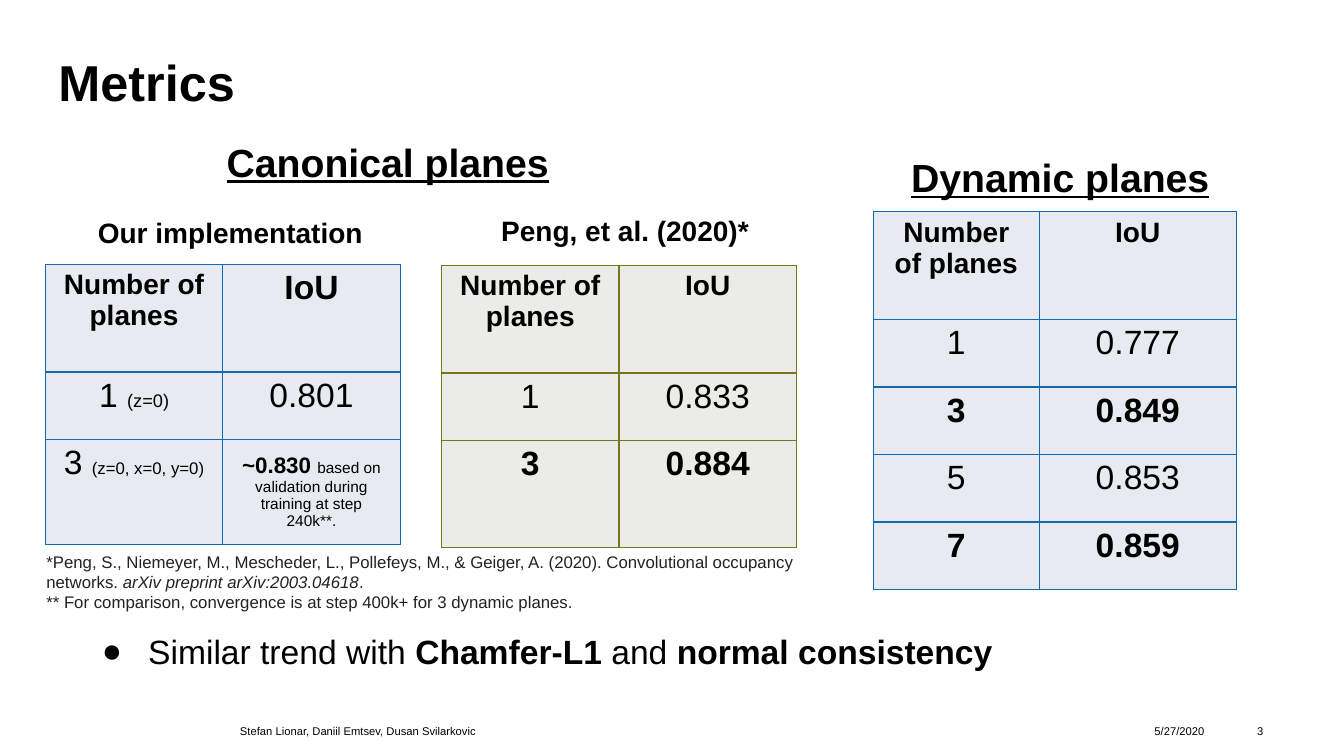
from dataclasses import dataclass

from lxml.etree import SubElement
from pptx import Presentation
from pptx.dml.color import RGBColor
from pptx.enum.text import MSO_ANCHOR, MSO_AUTO_SIZE, PP_ALIGN
from pptx.oxml import parse_xml
from pptx.oxml.ns import nsdecls, qn
from pptx.util import Inches, Pt

BLACK = RGBColor(0x00, 0x00, 0x00)
CITATION_GRAY = RGBColor(0x22, 0x22, 0x22)
BLUE = RGBColor(0x12, 0x69, 0xB0)
PALE_BLUE = RGBColor(0xE7, 0xEA, 0xF1)
OLIVE = RGBColor(0x72, 0x79, 0x1C)
PALE_OLIVE = RGBColor(0xEB, 0xEB, 0xE7)

FONT = "Arial"
BORDER_WIDTH = Pt(0.96)


@dataclass(frozen=True)
class Span:
    text: str
    size: float
    bold: bool = False
    italic: bool = False
    underline: bool = False
    color: RGBColor = BLACK


Line = tuple[Span, ...]


@dataclass(frozen=True)
class TextBox:
    left: float
    top: float
    width: float
    height: float
    lines: tuple[Line, ...]
    align: PP_ALIGN = PP_ALIGN.CENTER
    anchor: MSO_ANCHOR = MSO_ANCHOR.TOP
    inset: float = 0.13
    bullet: str = ""


@dataclass(frozen=True)
class MetricTable:
    left: float
    top: float
    columns: tuple[float, ...]
    row_heights: tuple[float, ...]
    rows: tuple[tuple[Line, ...], ...]
    border: RGBColor = BLUE
    fill: RGBColor = PALE_BLUE


def heading(text: str, size: float, underline: bool = False) -> tuple[Line, ...]:
    return ((Span(text, size, bold=True, underline=underline),),)


def header_row(iou_size: float = 20) -> tuple[Line, ...]:
    return (Span("Number of planes", 20, bold=True),), (Span("IoU", iou_size, bold=True),)


def value_row(planes: str, iou: str, bold: bool = False) -> tuple[Line, ...]:
    return (Span(planes, 24, bold),), (Span(iou, 24, bold),)


def write_line(para, line: Line, align: PP_ALIGN) -> None:
    para.alignment = align
    for span in line:
        run = para.add_run()
        run.text = span.text
        values = {"name": FONT, "size": Pt(span.size), "bold": span.bold,
                  "italic": span.italic, "underline": span.underline}
        for name, value in values.items():
            setattr(run.font, name, value)
        run.font.color.rgb = span.color


def add_bullet(para, character: str) -> None:
    properties = para._p.get_or_add_pPr()
    properties.set("marL", str(Inches(0.67)))
    properties.set("indent", str(Inches(-0.46)))
    color = SubElement(properties, qn("a:buClr"))
    SubElement(color, qn("a:srgbClr")).set("val", str(BLACK))
    SubElement(properties, qn("a:buFont")).set("typeface", FONT)
    SubElement(properties, qn("a:buChar")).set("char", character)


def fill_box(shape, box: TextBox) -> None:
    for name in ("left", "top", "width", "height"):
        setattr(shape, name, Inches(getattr(box, name)))
    frame = shape.text_frame
    values = {"word_wrap": True, "auto_size": MSO_AUTO_SIZE.NONE,
              "vertical_anchor": box.anchor}
    for side in ("left", "top", "right", "bottom"):
        values[f"margin_{side}"] = Inches(box.inset)
    for name, value in values.items():
        setattr(frame, name, value)
    for index, line in enumerate(box.lines):
        para = frame.add_paragraph() if index else frame.paragraphs[0]
        if box.bullet:
            add_bullet(para, box.bullet)
        write_line(para, line, box.align)


def set_borders(cell, color: RGBColor) -> None:
    properties = cell._tc.get_or_add_tcPr()
    for position, side in enumerate(("lnL", "lnR", "lnT", "lnB")):
        properties.insert(position, parse_xml(
            f'<a:{side} {nsdecls("a")} w="{BORDER_WIDTH}"><a:solidFill>'
            f'<a:srgbClr val="{color}"/></a:solidFill></a:{side}>'))


def add_metric_table(slide, spec_table: MetricTable) -> None:
    frame = slide.shapes.add_table(
        len(spec_table.rows), len(spec_table.columns),
        Inches(spec_table.left), Inches(spec_table.top),
        Inches(sum(spec_table.columns)), Inches(sum(spec_table.row_heights)))
    table = frame.table
    table.first_row = table.horz_banding = False
    for column, width in zip(table.columns, spec_table.columns):
        column.width = Inches(width)
    for row, height, lines in zip(table.rows, spec_table.row_heights, spec_table.rows):
        row.height = Inches(height)
        for cell, line in zip(row.cells, lines):
            cell.margin_left = cell.margin_right = Inches(0.13)
            cell.margin_top = cell.margin_bottom = Inches(0.05)
            cell.fill.solid()
            cell.fill.fore_color.rgb = spec_table.fill
            set_borders(cell, spec_table.border)
            write_line(cell.text_frame.paragraphs[0], line, PP_ALIGN.CENTER)
            # The annotated result sits in the middle of its cell
            if line[0].text.startswith("~"):
                cell.vertical_anchor = MSO_ANCHOR.MIDDLE


TITLE = TextBox(0.45, 0.45, 12.42, 0.83, heading("Metrics", 36), PP_ALIGN.LEFT)

TABLES = (
    MetricTable(8.66, 2.1, (1.65, 1.95), (1.07, 0.67, 0.67, 0.67, 0.67), (
        header_row(),
        value_row("1", "0.777"),
        value_row("3", "0.849", bold=True),
        value_row("5", "0.853"),
        value_row("7", "0.859", bold=True))),
    MetricTable(0.45, 2.62, (1.76, 1.76), (1.07, 0.67, 1.04), (
        header_row(24),
        ((Span("1 ", 24), Span("(z=0)", 13)), (Span("0.801", 24),)),
        ((Span("3 ", 24), Span("(z=0, x=0, y=0)", 12)),
         (Span("~0.830 ", 16, bold=True),
          Span("based on validation during training at step 240k**.", 11))))),
    MetricTable(4.38, 2.63, (1.76, 1.76), (1.07, 0.67, 1.06), (
        header_row(),
        value_row("1", "0.833"),
        value_row("3", "0.884", bold=True)), OLIVE, PALE_OLIVE),
)

HEADINGS = (
    TextBox(8.16, 1.39, 4.71, 0.72, heading("Dynamic planes", 28, underline=True)),
    TextBox(1.49, 1.24, 4.71, 0.72, heading("Canonical planes", 28, underline=True)),
    TextBox(-0.07, 2.01, 4.71, 0.72, heading("Our implementation", 20)),
    TextBox(4.49, 1.99, 3.42, 0.72, heading("Peng, et al. (2020)*", 20)),
)

NOTES = (
    TextBox(0.67, 6.13, 9.63, 0.94, ((
        Span("Similar trend with ", 24), Span("Chamfer-L1", 24, bold=True),
        Span(" and ", 24), Span("normal consistency", 24, bold=True)),),
        PP_ALIGN.LEFT, bullet="●"),
    TextBox(0.33, 5.34, 8.1, 0.33, (
        (Span("*Peng, S., Niemeyer, M., Mescheder, L., Pollefeys, M., & Geiger, A. (2020). "
              "Convolutional occupancy networks. ", 12, color=CITATION_GRAY),
         Span("arXiv preprint arXiv:2003.04618", 12, italic=True, color=CITATION_GRAY),
         Span(".", 12, color=CITATION_GRAY)),
        (Span("** For comparison, convergence is at step 400k+ for 3 dynamic planes.", 12,
              color=CITATION_GRAY),)), PP_ALIGN.LEFT),
)

FOOTER = tuple(
    TextBox(left, 7.13, width, 0.24, ((Span(text, 8),),), align, MSO_ANCHOR.MIDDLE, inset=0)
    for left, width, text, align in (
        (2.38, 5.91, "Stefan Lionar, Daniil Emtsev, Dusan Svilarkovic", PP_ALIGN.LEFT),
        (11.45, 0.67, "5/27/2020", PP_ALIGN.LEFT),
        (12.18, 0.35, "3", PP_ALIGN.RIGHT)))


def main() -> None:
    deck = Presentation()
    deck.slide_width, deck.slide_height = Inches(13.33), Inches(7.5)
    slide = deck.slides.add_slide(deck.slide_layouts[5])

    # Title
    fill_box(slide.shapes.title, TITLE)
    slide.shapes.title.text_frame.paragraphs[0].line_spacing = 0.9

    # Results, then headings, notes and footer
    for table in TABLES:
        add_metric_table(slide, table)
    for box in HEADINGS + NOTES + FOOTER:
        fill_box(slide.shapes.add_textbox(0, 0, 0, 0), box)

    deck.save("out.pptx")


if __name__ == "__main__":
    main()
